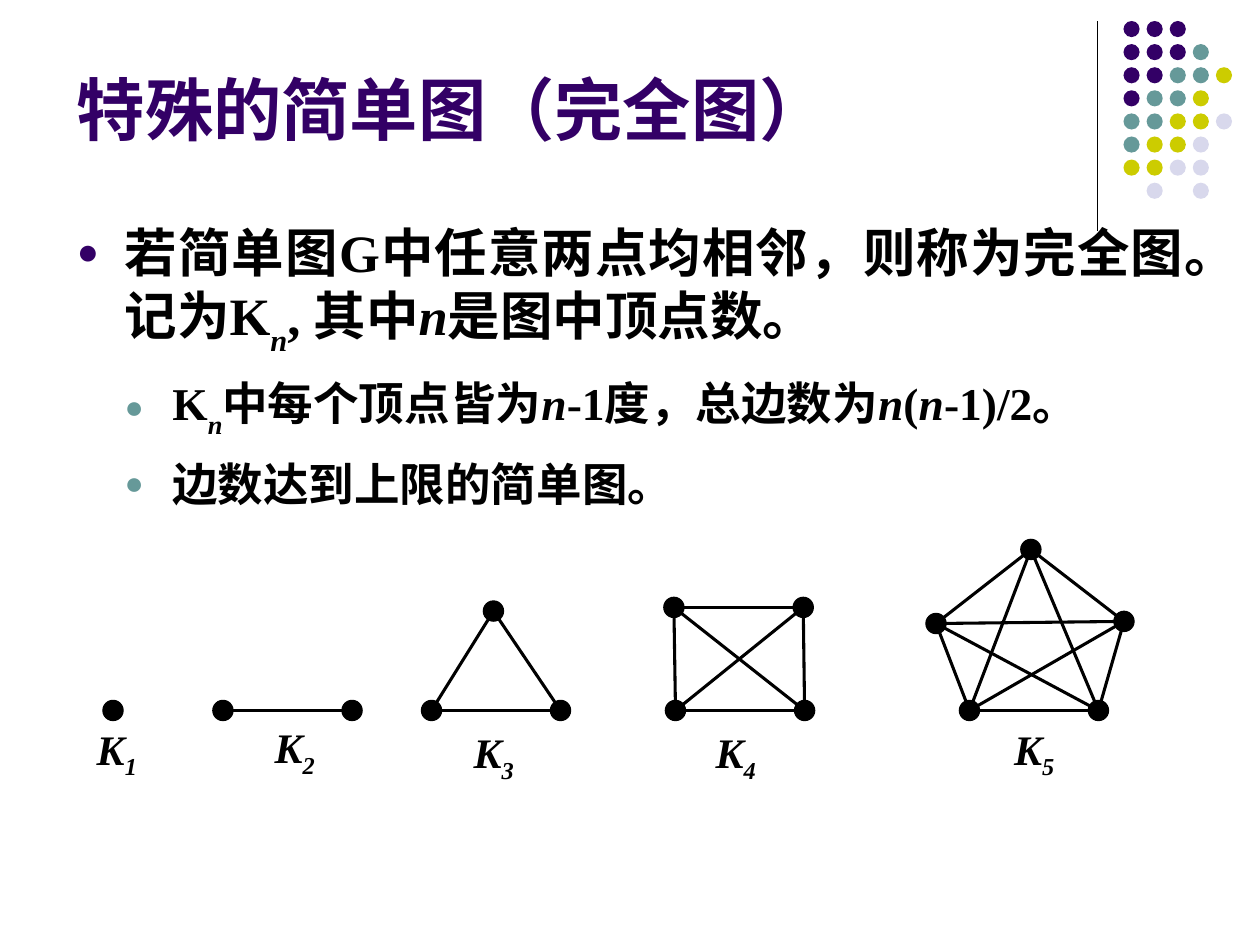
from itertools import combinations
from math import hypot
from typing import NamedTuple

from lxml import etree
from pptx import Presentation
from pptx.dml.color import RGBColor
from pptx.enum.shapes import MSO_CONNECTOR, MSO_SHAPE
from pptx.enum.text import MSO_ANCHOR, MSO_AUTO_SIZE, PP_ALIGN
from pptx.oxml.ns import qn
from pptx.util import Pt

STRAIGHT = MSO_CONNECTOR.STRAIGHT
OVAL, VERTEX = MSO_SHAPE.OVAL, MSO_SHAPE.FLOWCHART_CONNECTOR
LEFT, JUSTIFY = PP_ALIGN.LEFT, PP_ALIGN.JUSTIFY
TOP, BOTTOM = MSO_ANCHOR.TOP, MSO_ANCHOR.BOTTOM
NO_FIT = MSO_AUTO_SIZE.NONE

BLACK, PURPLE, TEAL = "000000", "330066", "669999"
SERIF, SANS = "Times New Roman", "Arial"
DOT_COLORS = {"P": PURPLE, "T": TEAL, "Y": "CCCC00", "L": "D8D8EC"}
DOT_ROWS = ["PPP", "PPPT", "PPTTY", "PTTY", "TTYYL", "TYYL", "YYLL", " L L"]
DOT_STEP, DOT_SIZE = 13.2, 9.2
VERTEX_SIZE = 11.5
BASE = 406  # height of the lowest vertices


class Span(NamedTuple):
    text: str
    italic: bool = False
    baseline: int = 0


class Item(NamedTuple):
    level: int
    size: float
    space_before: float
    bullet_color: str
    spans: list[Span]


class Graph(NamedTuple):
    label_left: float
    label_top: float
    vertices: list[tuple[float, float]]


N = Span("n", True)
SUB_N = Span("n", True, -30)
ITEMS = [
    Item(0, 30, 11.2, PURPLE, [
        Span("若简单图G中任意两点均相邻，则称为完全图。记为K"), SUB_N,
        Span(", 其中"), N, Span("是图中顶点数。")]),
    Item(1, 26, 9.8, TEAL, [
        Span("K"), SUB_N, Span("中每个顶点皆为"), N, Span("-1度，总边数为"),
        N, Span("("), N, Span("-1)/2。")]),
    Item(1, 26, 9.8, TEAL, [Span("边数达到上限的简单图。")]),
]
GRAPHS = [
    Graph(48.2, 409.7, [(64.6, BASE)]),
    Graph(149.8, 409, [(127.4, BASE), (201.2, BASE)]),
    Graph(263.5, 411.8, [(246.6, BASE), (320.3, BASE), (282, 349.2)]),
    Graph(401.8, 411.8, [(385.1, 347.1), (459, 347.1),
                         (386, BASE), (459.8, BASE)]),
    Graph(572.4, 409.7, [(589.1, 314), (534.9, 356.3), (642.3, 355.1),
                         (554, BASE), (627.7, BASE)]),
]


def color(value: str) -> RGBColor:
    return RGBColor.from_string(value)


def add_line(shapes, x1: float, y1: float, x2: float, y2: float,
             width: float) -> None:
    line = shapes.add_connector(STRAIGHT, Pt(x1), Pt(y1), Pt(x2), Pt(y2))
    line.line.color.rgb = color(BLACK)
    line.line.width = Pt(width)
    etree.SubElement(line._element.spPr, qn("a:effectLst"))


def add_circle(shapes, preset, x: float, y: float, size: float, fill: str):
    circle = shapes.add_shape(preset, Pt(x - size / 2), Pt(y - size / 2),
                              Pt(size), Pt(size))
    circle.shadow.inherit = False
    circle.fill.solid()
    circle.fill.fore_color.rgb = color(fill)
    circle.line.fill.background()
    return circle


def add_span(para, span: Span, font: str, size: float, fill: str) -> None:
    run = para.add_run()
    run.text = span.text
    run.font.name = font
    run.font.size = Pt(size)
    run.font.bold = True
    run.font.italic = span.italic
    run.font.color.rgb = color(fill)
    if span.baseline:
        run.font._element.set("baseline", str(span.baseline * 1000))


def place(box, left: float, top: float, width: float, height: float,
          anchor) -> None:
    box.left, box.top = Pt(left), Pt(top)
    box.width, box.height = Pt(width), Pt(height)
    frame = box.text_frame
    frame.word_wrap = True
    frame.auto_size = NO_FIT
    frame.vertical_anchor = anchor


def set_bullet(para, level: int, fill: str) -> None:
    props = para._p.get_or_add_pPr()
    props.set("marL", str(Pt(27.3 * (level + 1))))
    props.set("indent", str(Pt(-27.3)))
    tint = etree.SubElement(props, qn("a:buClr"))
    etree.SubElement(tint, qn("a:srgbClr"), val=fill)
    etree.SubElement(props, qn("a:buSzPct"), val="70000")
    etree.SubElement(props, qn("a:buFont"), typeface=SANS)
    etree.SubElement(props, qn("a:buChar"), char="●")


def add_item(para, item: Item) -> None:
    para.level = item.level
    para.alignment = JUSTIFY
    para.line_spacing = 1.0
    para.space_before = Pt(item.space_before)
    set_bullet(para, item.level, item.bullet_color)
    for span in item.spans:
        add_span(para, span, SERIF, item.size, BLACK)


def add_edge(shapes, start: tuple[float, float],
             end: tuple[float, float]) -> None:
    """Join the rims of two vertices."""
    (x1, y1), (x2, y2) = start, end
    trim = VERTEX_SIZE / 2 / hypot(x2 - x1, y2 - y1)
    dx, dy = (x2 - x1) * trim, (y2 - y1) * trim
    add_line(shapes, x1 + dx, y1 + dy, x2 - dx, y2 - dy, 1.75)


def add_graph(page, graph: Graph) -> None:
    shapes = page.shapes.add_group_shape().shapes
    for start, end in combinations(graph.vertices, 2):
        add_edge(shapes, start, end)
    for x, y in graph.vertices:
        vertex = add_circle(shapes, VERTEX, x, y, VERTEX_SIZE, BLACK)
        vertex.line.color.rgb = color(BLACK)
        vertex.line.width = Pt(0.75)
    label = shapes.add_textbox(0, 0, 0, 0)
    place(label, graph.label_left, graph.label_top, 56.9, 39.6, TOP)
    para = label.text_frame.paragraphs[0]
    count = str(len(graph.vertices))
    for span in (Span("K", True), Span(count, True, -25)):
        add_span(para, span, SERIF, 24, BLACK)


def main() -> None:
    deck = Presentation()
    deck.slide_width, deck.slide_height = Pt(720), Pt(540)
    page = deck.slides.add_slide(deck.slide_layouts[1])

    # Corner ornament
    add_line(page.shapes, 627.1, 12.2, 627.1, 131.8, 0.75)
    ornament = page.shapes.add_group_shape().shapes
    for row, codes in enumerate(DOT_ROWS):
        for column, code in enumerate(codes):
            if code in DOT_COLORS:
                add_circle(ornament, OVAL, 646.6 + column * DOT_STEP,
                           16.6 + row * DOT_STEP, DOT_SIZE, DOT_COLORS[code])

    # Title
    title = page.shapes.title
    place(title, 36.7, 20.2, 630.7, 68.4, BOTTOM)
    heading = title.text_frame.paragraphs[0]
    heading.alignment = LEFT
    add_span(heading, Span("特殊的简单图（完全图）"), SANS, 39, PURPLE)

    # Definition list
    body = page.placeholders[1]
    place(body, 36.7, 122.4, 648, 175.7, TOP)
    frame = body.text_frame
    for index, item in enumerate(ITEMS):
        add_item(frame.add_paragraph() if index else frame.paragraphs[0], item)

    # Complete graphs K1 to K5
    for graph in GRAPHS:
        add_graph(page, graph)

    deck.save("out.pptx")


if __name__ == "__main__":
    main()
